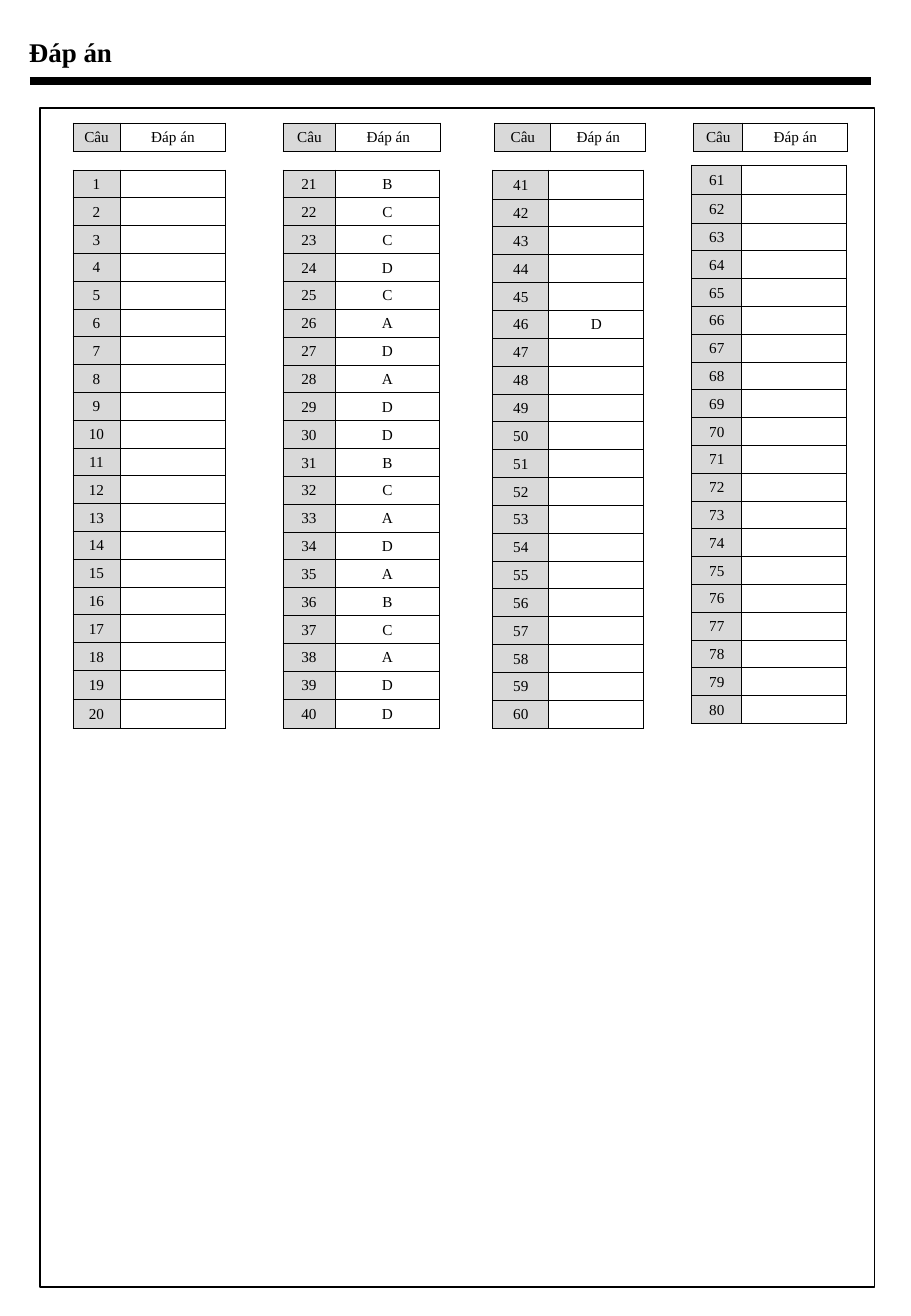
import lxml.etree
import pptx
import pptx.dml.color
import pptx.enum.shapes
import pptx.enum.text
import pptx.oxml.ns
import pptx.util

EMU_PER_PX = 914400 / 121.5
TALL_ROW = 29
ROWS_PER_COLUMN = 20
HEADINGS = ["Câu", "Đáp án"]
ANSWERS = dict(zip(range(21, 41), "BCCDCADADDBCADABCADD"))
ANSWERS[46] = "D"


def px(length):
    return pptx.util.Emu(round(length * EMU_PER_PX))


def color(hex_string):
    return pptx.dml.color.RGBColor.from_string(hex_string)


def row_heights(total, tall_rows):
    """Give the tall rows their height and share the rest of the total evenly."""
    normal = (total - TALL_ROW * len(tall_rows)) / (ROWS_PER_COLUMN - len(tall_rows))
    return [TALL_ROW if row in tall_rows else normal for row in range(ROWS_PER_COLUMN)]


class AnswerSheet:
    font_name = "Times New Roman"
    ink = "000000"
    number_fill = "D9D9D9"
    answer_fill = "FFFFFF"
    cell_size = 9
    border_width = 0.5

    def __init__(self, slide):
        self.slide = slide

    def add_run(self, paragraph, text, size, bold=False):
        run = paragraph.add_run()
        run.text = text
        run.font.name = self.font_name
        run.font.size = pptx.util.Pt(size)
        run.font.bold = bold
        run.font.color.rgb = color(self.ink)

    def title(self, text, left, top, width, height):
        shape = self.slide.shapes.add_textbox(px(left), px(top), px(width), px(height))
        frame = shape.text_frame
        frame.word_wrap = True
        frame.auto_size = pptx.enum.text.MSO_AUTO_SIZE.SHAPE_TO_FIT_TEXT
        self.add_run(frame.paragraphs[0], text, 16, bold=True)

    def rule(self, left, right, y, weight):
        connector = self.slide.shapes.add_connector(
            pptx.enum.shapes.MSO_CONNECTOR.STRAIGHT, px(left), px(y), px(right), px(y))
        connector.line.color.rgb = color(self.ink)
        connector.line.width = pptx.util.Pt(weight)
        properties = connector._element.spPr
        lxml.etree.SubElement(properties, pptx.oxml.ns.qn("a:effectLst"))

    def frame(self, left, top, width, height, weight):
        shape = self.slide.shapes.add_shape(
            pptx.enum.shapes.MSO_SHAPE.RECTANGLE, px(left), px(top), px(width), px(height))
        shape.shadow.inherit = False
        shape.fill.background()
        shape.line.color.rgb = color(self.ink)
        shape.line.width = pptx.util.Pt(weight)

    def border(self, cell):
        properties = cell._tc.get_or_add_tcPr()
        width = str(pptx.util.Pt(self.border_width))
        for side in ("lnL", "lnR", "lnT", "lnB"):
            line = lxml.etree.SubElement(properties, pptx.oxml.ns.qn(f"a:{side}"), w=width)
            fill = lxml.etree.SubElement(line, pptx.oxml.ns.qn("a:solidFill"))
            lxml.etree.SubElement(fill, pptx.oxml.ns.qn("a:srgbClr"), val=self.ink)

    def cell(self, cell, text, fill):
        self.border(cell)
        cell.fill.solid()
        cell.fill.fore_color.rgb = color(fill)
        cell.vertical_anchor = pptx.enum.text.MSO_ANCHOR.MIDDLE
        cell.margin_left = cell.margin_right = cell.margin_top = px(1)
        cell.margin_bottom = 0
        paragraph = cell.text_frame.paragraphs[0]
        paragraph.alignment = pptx.enum.text.PP_ALIGN.CENTER
        if text:
            self.add_run(paragraph, text, self.cell_size)
        else:
            # An empty cell needs a small end mark, or its row grows.
            lxml.etree.SubElement(paragraph._p, pptx.oxml.ns.qn("a:endParaRPr"),
                                  sz=str(self.cell_size * 100))

    def table(self, left, top, widths, heights, rows):
        table = self.slide.shapes.add_table(
            len(rows), len(widths), px(left), px(top),
            px(sum(widths)), px(sum(heights))).table
        table.first_row = False
        table.horz_banding = False
        for column, width in zip(table.columns, widths):
            column.width = px(width)
        for row, height, texts in zip(table.rows, heights, rows):
            row.height = px(height)
            for cell, text, fill in zip(row.cells, texts, (self.number_fill, self.answer_fill)):
                self.cell(cell, text, fill)


def main():
    presentation = pptx.Presentation()
    presentation.slide_width = pptx.util.Inches(7.5)
    presentation.slide_height = pptx.util.Inches(10.83)
    sheet = AnswerSheet(presentation.slides.add_slide(presentation.slide_layouts[6]))

    sheet.rule(30, 871, 81, 4.5)
    sheet.frame(40, 108, 835, 1179, 0.75)
    sheet.title("Đáp án", 17, 30, 134, 45)

    # Heading left and widths; grid left, top, widths, height and tall rows.
    columns = [
        (73, (47, 106), 73, 170, (47, 106), 559, (18, 19)),
        (283, (53, 105), 283, 170, (52, 105), 558, (19,)),
        (495, (56, 95), 493, 170, (56, 95), 558, (0,)),
        (694, (49, 105), 692, 165, (50, 105), 559, (0, 1)),
    ]
    for index, column in enumerate(columns):
        heading_left, heading_widths, left, top, widths, height, tall_rows = column
        sheet.table(heading_left, 123, heading_widths, [28], [HEADINGS])
        first = index * ROWS_PER_COLUMN + 1
        questions = range(first, first + ROWS_PER_COLUMN)
        rows = [(str(question), ANSWERS.get(question, "")) for question in questions]
        sheet.table(left, top, widths, row_heights(height, tall_rows), rows)

    presentation.save("out.pptx")


if __name__ == "__main__":
    main()
